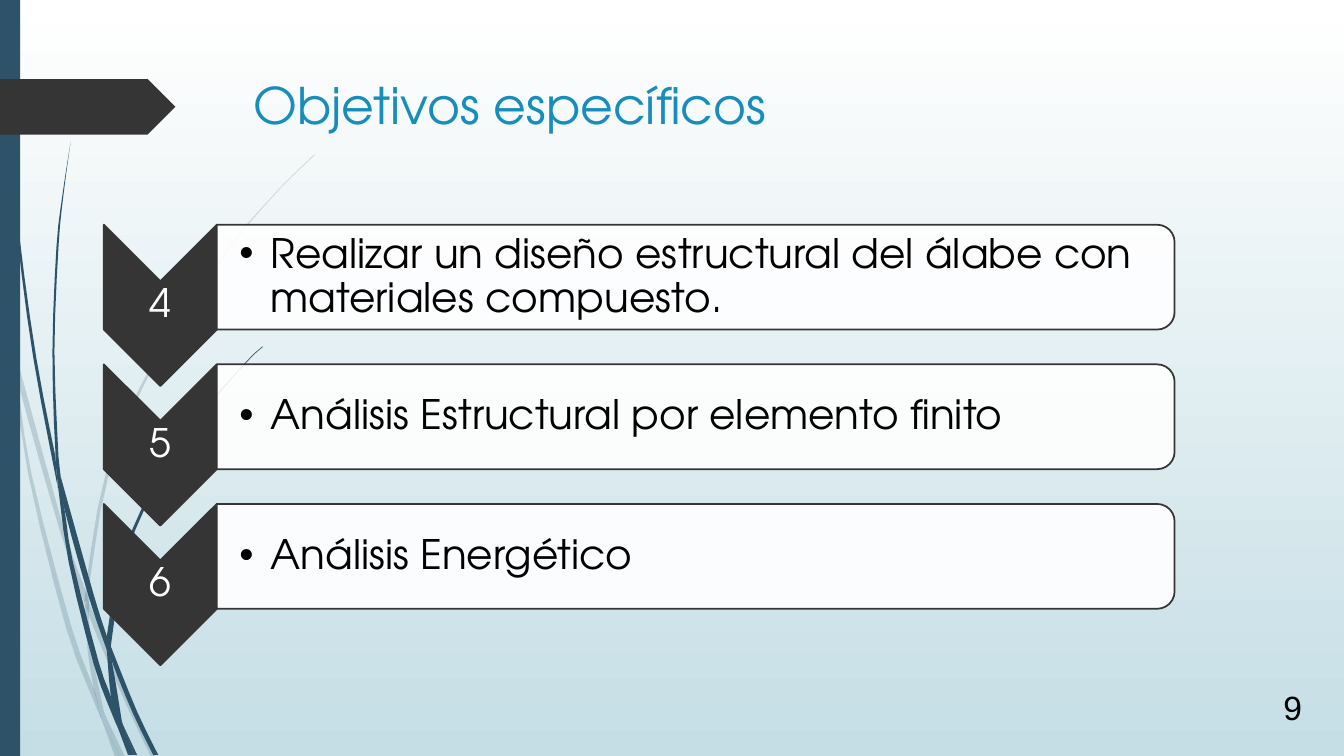
from lxml import etree
from pptx import Presentation
from pptx.dml.color import RGBColor
from pptx.enum.shapes import MSO_SHAPE
from pptx.enum.text import MSO_ANCHOR, MSO_AUTO_SIZE, PP_ALIGN
from pptx.oxml.ns import qn
from pptx.util import Inches, Pt

RECTANGLE = MSO_SHAPE.RECTANGLE
PENTAGON = MSO_SHAPE.PENTAGON
CHEVRON = MSO_SHAPE.CHEVRON
ROUND_TOP = MSO_SHAPE.ROUND_2_SAME_RECTANGLE
TOP, MIDDLE = MSO_ANCHOR.TOP, MSO_ANCHOR.MIDDLE
LEFT, CENTER = PP_ALIGN.LEFT, PP_ALIGN.CENTER

WHITE = RGBColor(0xFF, 0xFF, 0xFF)
BLACK = RGBColor(0x00, 0x00, 0x00)
MIST = RGBColor(0xC5, 0xDE, 0xE5)
NAVY = RGBColor(0x2E, 0x53, 0x69)
CHARCOAL = RGBColor(0x35, 0x35, 0x35)
SKY = RGBColor(0x17, 0x8D, 0xBB)

# Fine grid over the slide: every position below is in columns and rows
COLUMNS, ROWS = 1333, 750
FIRST_ROW, ROW_PITCH = 222, 138.5

OBJECTIVES = [
    ("4", "Realizar un diseño estructural del álabe con materiales compuesto."),
    ("5", "Análisis Estructural por elemento finito"),
    ("6", "Análisis Energético"),
]

# Pieces of grass: (left edge going down, right edge coming back up)
PALE_GRASS = [
    ([(0, 282), (0, 299), (10, 344), (11, 350)], [(11, 350), (9, 322), (0, 282)]),
    ([(14, 345), (17, 376), (58, 522), (84, 599)], [(85, 586), (62, 520), (14, 345)]),
    ([(88, 596), (88, 610), (123, 694), (150, 751)], [(155, 751), (127, 692), (92, 607), (88, 596)]),
    ([(105, 711), (119, 751)], [(124, 751), (105, 711)]),
    ([(11, 350), (28, 470), (65, 621), (92, 693), (101, 714)],
     [(99, 707), (93, 683), (70, 619), (31, 469), (17, 376), (11, 350)]),
    ([(84, 599), (87, 646), (93, 683), (96, 692), (105, 711)],
     [(103, 706), (91, 646), (88, 610), (84, 599)]),
    ([(312, 153), (289, 175), (268, 197), (228, 244), (158, 348), (107, 461), (85, 584), (88, 596)],
     [(88, 584), (110, 462), (160, 349), (229, 245), (268, 198), (290, 175), (312, 154)]),
    ([(101, 714), (114, 751)], [(119, 751), (101, 714)]),
    ([(85, 586), (84, 599), (88, 608)], [(88, 610), (88, 596), (85, 586)]),
    ([(93, 683), (99, 707), (101, 714), (119, 751)], [(105, 711), (96, 692), (93, 683)]),
]
DARK_GRASS = [
    ([(3, 0), (4, 48), (7, 110), (17, 233), (33, 355), (56, 477), (57, 481)],
     [(55, 453), (36, 355), (19, 232), (8, 109), (5, 48), (4, 0)]),
    ([(60, 472), (64, 505), (88, 592), (106, 645)], [(106, 631), (93, 590), (60, 472)]),
    ([(110, 641), (111, 656), (132, 708), (152, 749)], [(157, 749), (136, 706), (113, 649), (110, 641)]),
    ([(57, 477), (68, 557), (93, 659), (111, 708), (117, 722)],
     [(116, 717), (110, 691), (98, 657), (72, 556), (64, 505), (57, 477)]),
    ([(70, 141), (62, 193), (56, 245), (52, 349), (55, 449), (60, 472)],
     [(58, 453), (54, 349), (58, 245), (63, 193), (70, 141)]),
    ([(122, 719), (133, 749)], [(136, 749), (122, 719)]),
    ([(55, 449), (57, 477), (64, 505)], [(60, 472), (55, 449)]),
    ([(260, 344), (245, 358), (204, 405), (156, 474), (122, 551), (106, 631), (110, 641)],
     [(111, 633), (125, 552), (158, 476), (205, 406), (245, 359), (261, 344)]),
    ([(117, 722), (127, 749)], [(131, 749), (117, 722)]),
    ([(106, 645), (110, 691), (116, 706), (122, 719)], [(121, 716), (111, 656), (106, 645)]),
    ([(106, 631), (106, 645), (111, 656)], [(110, 641), (106, 631)]),
    ([(110, 691), (117, 722), (130, 749)], [(133, 749), (122, 719), (110, 691)]),
]


def smooth(points, steps=3):
    """Return a Catmull-Rom curve through the points."""
    padded = [points[0], *points, points[-1]]
    curve = []
    for a, b, c, d in zip(padded, padded[1:], padded[2:], padded[3:]):
        for step in range(steps):
            t = step / steps
            curve.append(tuple(
                q + t / 2 * (r - p + t * (2*p - 5*q + 4*r - s + t * (3*q - p - 3*r + s)))
                for p, q, r, s in zip(a, b, c, d)))
    return curve + [points[-1]]


def write(frame, text, size=28, color=BLACK, font="TeX Gyre Adventor", align=LEFT,
          anchor=TOP, insets=(0.1, 0.05, 0.1, 0.05), spacing=1.0, hanging=0):
    frame.word_wrap = True
    frame.auto_size = MSO_AUTO_SIZE.NONE
    frame.vertical_anchor = anchor
    (frame.margin_left, frame.margin_top,
     frame.margin_right, frame.margin_bottom) = map(Inches, insets)
    para = frame.paragraphs[0]
    para.alignment = align
    para.line_spacing = spacing
    span = para.add_run()
    span.text = text
    span.font.size = Pt(size)
    span.font.name = font
    span.font.color.rgb = color
    if hanging:
        properties = para._p.get_or_add_pPr()
        properties.set("marL", str(Inches(hanging)))
        properties.set("indent", str(-Inches(hanging)))
        etree.SubElement(properties, qn("a:buFont")).set("typeface", "Arial")
        etree.SubElement(properties, qn("a:buChar")).set("char", "•")


class SlideBuilder:
    def __init__(self, deck, page):
        self.page = page
        self.column = deck.slide_width / COLUMNS
        self.row = deck.slide_height / ROWS

    def place(self, left, top, width, height):
        return (round(left * self.column), round(top * self.row),
                round(width * self.column), round(height * self.row))

    def background(self, top_color, bottom_color):
        fill = self.page.background.fill
        fill.gradient()
        fill.gradient_angle = 270
        for stop, color in zip(fill.gradient_stops, (top_color, bottom_color)):
            stop.color.rgb = color

    def paint(self, shape, color, opacity=100, outline=None):
        shape.shadow.inherit = False
        shape.fill.solid()
        shape.fill.fore_color.rgb = color
        if opacity < 100:
            tint = shape.fill._xPr.find(".//" + qn("a:srgbClr"))
            etree.SubElement(tint, qn("a:alpha")).set("val", str(opacity * 1000))
        if outline is None:
            shape.line.fill.background()
        else:
            shape.line.color.rgb = outline
            shape.line.width = Pt(1.25)

    def shape(self, kind, area, color, rotation=0, **paint):
        shape = self.page.shapes.add_shape(kind, *self.place(*area))
        shape.rotation = rotation
        self.paint(shape, color, **paint)

    def grass(self, down, up, opacity):
        outline = [(x * self.column, y * self.row) for x, y in smooth(down) + smooth(up)]
        builder = self.page.shapes.build_freeform(*outline[0])
        builder.add_line_segments(outline[1:], close=True)
        self.paint(builder.convert_to_shape(), NAVY, opacity)

    def title(self, text, area, **style):
        box = self.page.shapes.title
        box.left, box.top, box.width, box.height = self.place(*area)
        write(box.text_frame, text, **style)

    def text(self, text, area, **style):
        box = self.page.shapes.add_textbox(*self.place(*area))
        write(box.text_frame, text, **style)

    def objective(self, number, text, top):
        self.shape(CHEVRON, (79, top + 25, 160, 112), CHARCOAL, rotation=90, outline=CHARCOAL)
        self.text(number, (103, top + 56.5, 112, 48), color=WHITE, align=CENTER,
                  anchor=MIDDLE, insets=[0.02] * 4, spacing=0.9)
        self.shape(ROUND_TOP, (638, top - 422, 104, 950), WHITE, rotation=90,
                   opacity=90, outline=CHARCOAL)
        self.text(text, (214.5, top + 6, 945, 94), size=29, anchor=MIDDLE,
                  insets=(0.23, 0.02, 0.02, 0.02), spacing=0.9, hanging=0.31)


def main():
    deck = Presentation()
    deck.slide_width, deck.slide_height = Inches(13.33), Inches(7.5)
    page = deck.slides.add_slide(deck.slide_layouts[5])
    builder = SlideBuilder(deck, page)

    # Backdrop
    builder.background(WHITE, MIST)
    for pieces, opacity in ((PALE_GRASS, 20), (DARK_GRASS, 100)):
        for down, up in pieces:
            builder.grass(down, up, opacity)
    builder.shape(RECTANGLE, (0, 0, 20, 750), NAVY)
    builder.shape(PENTAGON, (0, 78.5, 174, 55), CHARCOAL)

    # Title and page number
    builder.title("Objetivos específicos", (241.5, 68.5, 576, 88), size=36, color=SKY)
    builder.text("9", (1263, 677, 54, 50), size=24, font="Arial")

    # Numbered objectives
    for index, (number, text) in enumerate(OBJECTIVES):
        builder.objective(number, text, FIRST_ROW + index * ROW_PITCH)

    deck.save("out.pptx")


if __name__ == "__main__":
    main()
